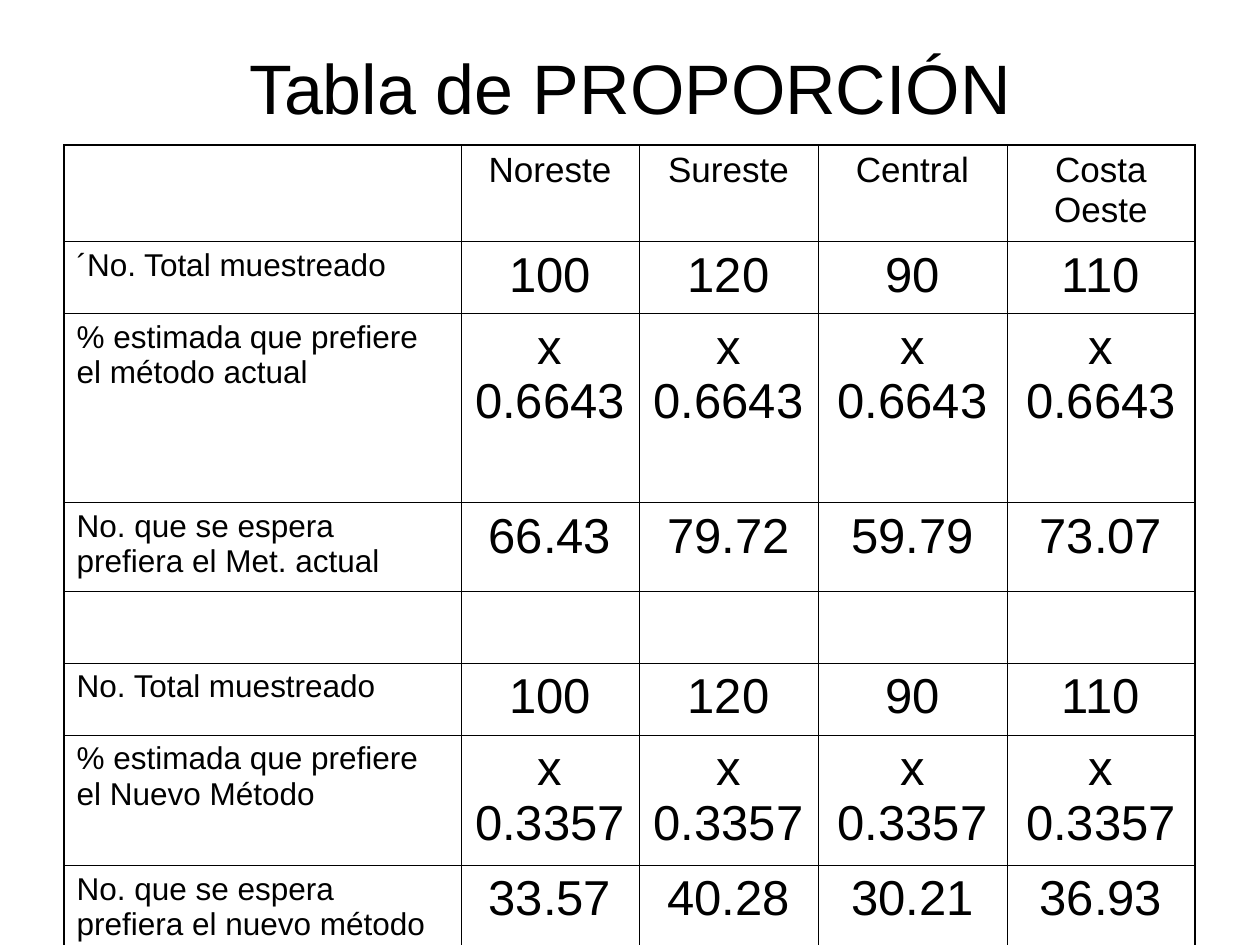
from lxml.etree import fromstring
from pptx import Presentation
from pptx.dml.color import RGBColor
from pptx.enum.text import MSO_ANCHOR, PP_ALIGN
from pptx.oxml.ns import nsdecls
from pptx.util import Emu, Pt

INK = "000000"
FONT = "Arial"
THIN, THICK = 0.45, 1.08
WIDTHS = [397, 178, 179, 189, 188]
HEIGHTS = [96, 72, 189, 88, 72, 72, 130, 88]
ZONES = ["Noreste", "Sureste", "Central", "Costa Oeste"]
TOTALS = [100, 120, 90, 110]


def px(count):
    return Emu(round(count * 914400 / 126))


def color(code):
    return RGBColor.from_string(code)


def style(frame, size, align):
    for para in frame.paragraphs:
        para.alignment = align
        for run in para.runs:
            run.font.name = FONT
            run.font.size = Pt(size)
            run.font.color.rgb = color(INK)


def border(cell, widths):
    props = cell._tc.get_or_add_tcPr()
    for index, (side, width) in enumerate(zip("LRTB", widths)):
        line = fromstring(
            f'<a:ln{side} {nsdecls("a")} w="{Pt(width)}"><a:solidFill>'
            f'<a:srgbClr val="{INK}"/></a:solidFill></a:ln{side}>'
        )
        props.insert(index, line)


def group(labels, rate):
    return [
        [labels[0]] + [str(total) for total in TOTALS],
        [labels[1]] + [f"x {rate:.4f}"] * len(TOTALS),
        [labels[2]] + [f"{total * rate:.2f}" for total in TOTALS],
    ]


def title(slide, left, top, width, height):
    frame = slide.shapes.add_textbox(px(left), px(top), px(width), px(height)).text_frame
    frame.word_wrap = True
    frame.vertical_anchor = MSO_ANCHOR.MIDDLE
    frame.text = "Tabla de PROPORCIÓN"
    style(frame, 40, PP_ALIGN.CENTER)


def grid(slide, left, top, rows):
    last, end = len(rows) - 1, len(WIDTHS) - 1
    table = slide.shapes.add_table(
        len(rows), len(WIDTHS), px(left), px(top), px(sum(WIDTHS)), px(sum(HEIGHTS))
    ).table
    table.first_row = table.horz_banding = False
    for col, width in zip(table.columns, WIDTHS):
        col.width = px(width)
    for row, height in zip(table.rows, HEIGHTS):
        row.height = px(height)
    for r, texts in enumerate(rows):
        for c, text in enumerate(texts):
            cell = table.cell(r, c)
            cell.fill.background()
            edges = [c == 0, c == end, r == 0, r == last]
            border(cell, [THICK if edge else THIN for edge in edges])
            cell.text_frame.text = text
            size = 18 if c == 0 else 20 if r == 0 else 28
            style(cell.text_frame, size, PP_ALIGN.CENTER if c else PP_ALIGN.LEFT)


def main():
    deck = Presentation()
    deck.slide_width, deck.slide_height = px(1260), px(945)
    slide = deck.slides.add_slide(deck.slide_layouts[6])
    title(slide, 63, 38, 1134, 97)
    current = group(
        [
            "´No. Total muestreado",
            "% estimada que prefiere el método actual",
            "No. que se espera prefiera el Met. actual",
        ],
        0.6643,
    )
    new = group(
        [
            "No. Total muestreado",
            "% estimada que prefiere el Nuevo Método",
            "No. que se espera prefiera el nuevo método",
        ],
        0.3357,
    )
    blank = [""] * len(WIDTHS)
    grid(slide, 64, 145, [[""] + ZONES, *current, blank, *new])
    deck.save("out.pptx")


if __name__ == "__main__":
    main()
